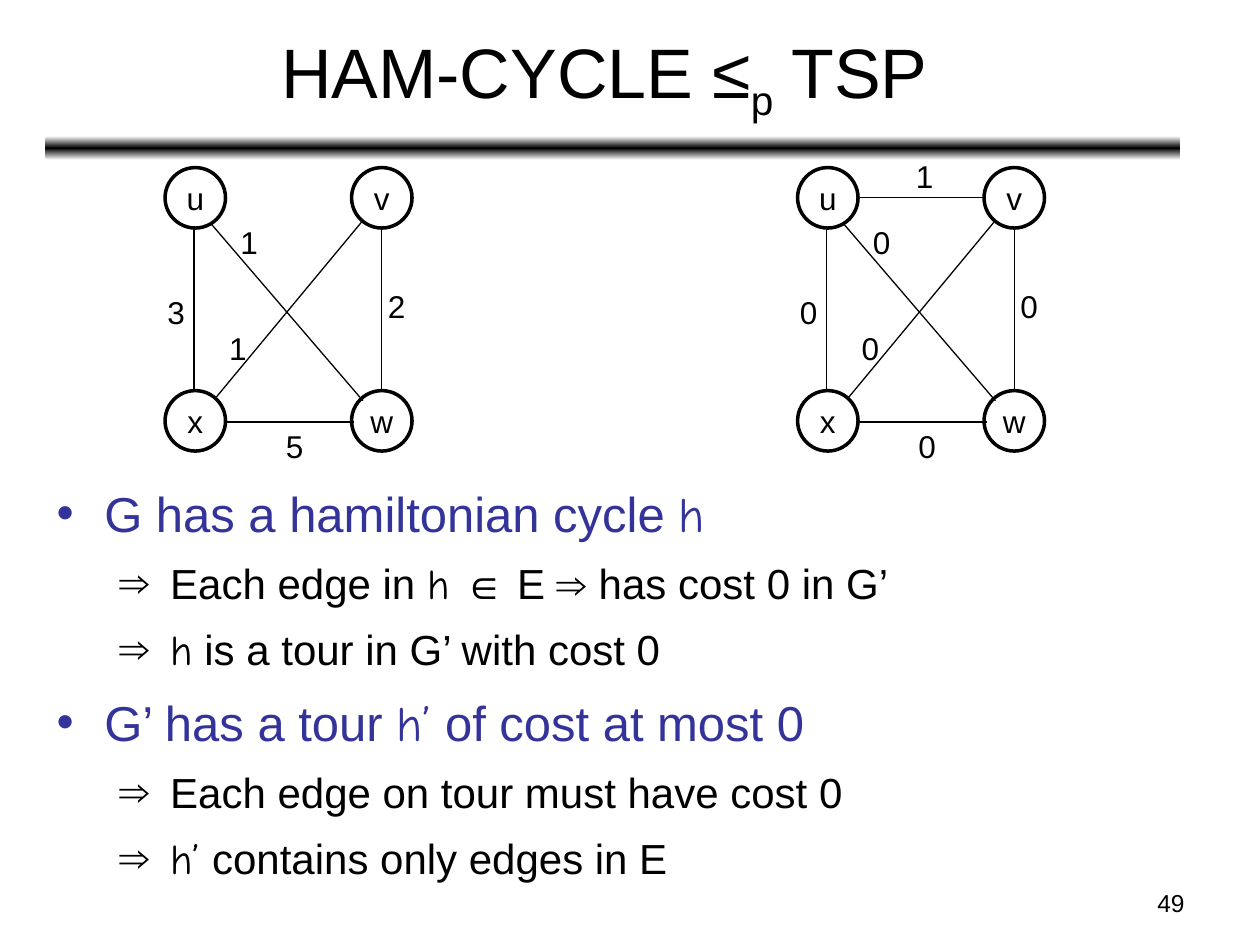
import copy

import pptx
import pptx.dml.color
import pptx.enum.shapes
import pptx.enum.text
import pptx.oxml
import pptx.oxml.ns
import pptx.util

Inches = pptx.util.Inches
Pt = pptx.util.Pt
RGBColor = pptx.dml.color.RGBColor
SHAPE = pptx.enum.shapes.MSO_SHAPE
ALIGN = pptx.enum.text.PP_ALIGN
ANCHOR = pptx.enum.text.MSO_ANCHOR
qn = pptx.oxml.ns.qn

BLACK = RGBColor(0x00, 0x00, 0x00)
WHITE = RGBColor(0xFF, 0xFF, 0xFF)
BLUE = RGBColor(0x33, 0x33, 0x99)


def add_run(p, text, size=18, font="Arial", color=BLACK, baseline=None):
    r = p.add_run()
    r.text = text
    r.font.size = Pt(size)
    r.font.name = font
    r.font.color.rgb = color
    if baseline is not None:
        r.font._element.set("baseline", str(baseline * 1000))


def add_box(x, y, w, h, wrap=True, align=None, anchor=ANCHOR.TOP):
    tf = shapes.add_textbox(Inches(x), Inches(y), Inches(w), Inches(h)).text_frame
    tf.word_wrap = wrap
    tf.vertical_anchor = anchor
    tf.paragraphs[0].alignment = align
    return tf


prs = pptx.Presentation()
prs.slide_width = Inches(10)
prs.slide_height = Inches(7.5)
shapes = prs.slides.add_slide(prs.slide_layouts[6]).shapes

s = shapes.add_shape(SHAPE.ROUNDED_RECTANGLE, Inches(0.36), Inches(1.08), Inches(9.01), Inches(0.19))
s.shadow.inherit = False
s.line.fill.background()
s.fill.gradient()
s.fill.gradient_angle = 90
stop_list = s._element.spPr.find(".//" + qn("a:gsLst"))
stop_list.append(copy.deepcopy(stop_list[0]))
for stop, position, color in zip(s.fill.gradient_stops, (0, 0.5, 1), (WHITE, BLACK, WHITE)):
    stop.position = position
    stop.color.rgb = color

p = add_box(7.17, 7, 2.33, 0.35, align=ALIGN.RIGHT).paragraphs[0]
add_run(p, "49", size=14)

p = add_box(0.37, 0.11, 9, 0.99, align=ALIGN.CENTER, anchor=ANCHOR.MIDDLE).paragraphs[0]
add_run(p, "HAM-CYCLE ≤", size=40)
add_run(p, "p", size=40, baseline=-25)
add_run(p, " TSP ", size=40)

levels = [
    {"size": 28, "color": BLUE, "before": 7, "left": 0.38, "hang": 0.38, "bullet": "•"},
    {"size": 24, "color": BLACK, "before": 6, "left": 0.81, "hang": 0.31, "bullet": "⇒"},
]
body = [
    (0, ["G has a hamiltonian cycle ", "h"]),
    (1, [" Each edge in ", "h ", "∈ E ⇒ has cost 0 in G’"]),
    (1, [" ", "h", " is a tour in G’ with cost 0"]),
    (0, ["G’ has a tour ", "h’", " of cost at most 0"]),
    (1, [" Each edge on tour must have cost 0"]),
    (1, [" ", "h’", " contains only edges in E"]),
]
tf = add_box(0.35, 3.74, 9.41, 3.51)
for i, (level, parts) in enumerate(body):
    style = levels[level]
    p = tf.add_paragraph() if i else tf.paragraphs[0]
    p.level = level
    p.line_spacing = 1.1
    p.space_before = Pt(style["before"])
    pPr = p._p.get_or_add_pPr()
    pPr.set("marL", str(Inches(style["left"])))
    pPr.set("indent", str(-Inches(style["hang"])))
    color = pptx.oxml.ns.nsdecls("a")
    pPr.append(pptx.oxml.parse_xml(
        f'<a:buClr {color}><a:srgbClr val="{style["color"]}"/></a:buClr>'))
    pPr.append(pptx.oxml.parse_xml(f'<a:buFont {color} typeface="Arial"/>'))
    pPr.append(pptx.oxml.parse_xml(f'<a:buChar {color} char="{style["bullet"]}"/>'))
    for j, text in enumerate(parts):
        font = "Comic Neue" if j == 1 else "Arial"
        add_run(p, text, size=style["size"], font=font, color=style["color"])

nodes = [("u", 1.31, 1.33), ("v", 2.79, 1.33), ("x", 1.31, 3.1), ("w", 2.79, 3.1)]
edges = {
    "uv": (1.78, 1.57, 2.8, 1.57),
    "xw": (1.79, 3.35, 2.81, 3.35),
    "ux": (1.54, 1.8, 1.54, 3.1),
    "vw": (3.03, 1.8, 3.03, 3.1),
    "uw": (1.67, 1.77, 2.88, 3.18),
    "vx": (2.88, 1.75, 1.71, 3.16),
}
cost_places = {
    "uv": (2.15, 1.2),
    "xw": (2.17, 3.34),
    "ux": (1.23, 2.28),
    "vw": (2.98, 2.23),
    "vx": (1.72, 2.56),
    "uw": (1.81, 1.72),
}
graphs = [
    (0, {"xw": "5", "ux": "3", "vw": "2", "vx": "1", "uw": "1"}),
    (5.02, {"uv": "1", "xw": "0", "ux": "0", "vw": "0", "vx": "0", "uw": "0"}),
]
for dx, costs in graphs:
    for name, x, y in nodes:
        s = shapes.add_shape(SHAPE.OVAL, Inches(x + dx), Inches(y), Inches(0.48), Inches(0.48))
        s.shadow.inherit = False
        s.fill.solid()
        s.fill.fore_color.rgb = WHITE
        s.line.color.rgb = BLACK
        s.line.width = Pt(2)
        tf = s.text_frame
        tf.word_wrap = False
        tf.vertical_anchor = ANCHOR.MIDDLE
        tf.paragraphs[0].alignment = ALIGN.CENTER
        add_run(tf.paragraphs[0], name)
    for edge, cost in costs.items():
        x1, y1, x2, y2 = edges[edge]
        s = shapes.add_connector(
            pptx.enum.shapes.MSO_CONNECTOR.STRAIGHT,
            Inches(x1 + dx), Inches(y1), Inches(x2 + dx), Inches(y2))
        s.line.color.rgb = BLACK
        s.line.width = Pt(0.75)
        s._element.spPr.append(pptx.oxml.parse_xml(f'<a:effectLst {pptx.oxml.ns.nsdecls("a")}/>'))
        x, y = cost_places[edge]
        tf = add_box(x + dx, y, 0.34, 0.4, wrap=False)
        add_run(tf.paragraphs[0], cost)

prs.save("out.pptx")
